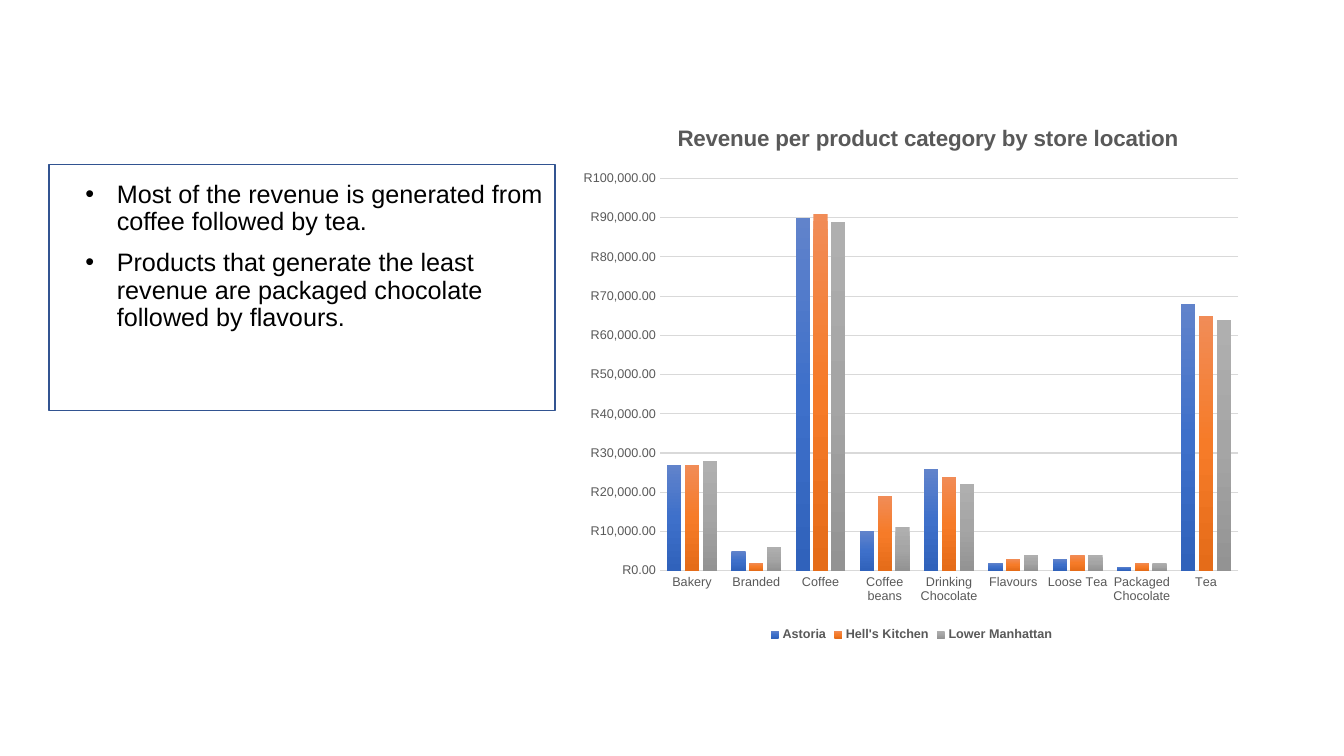
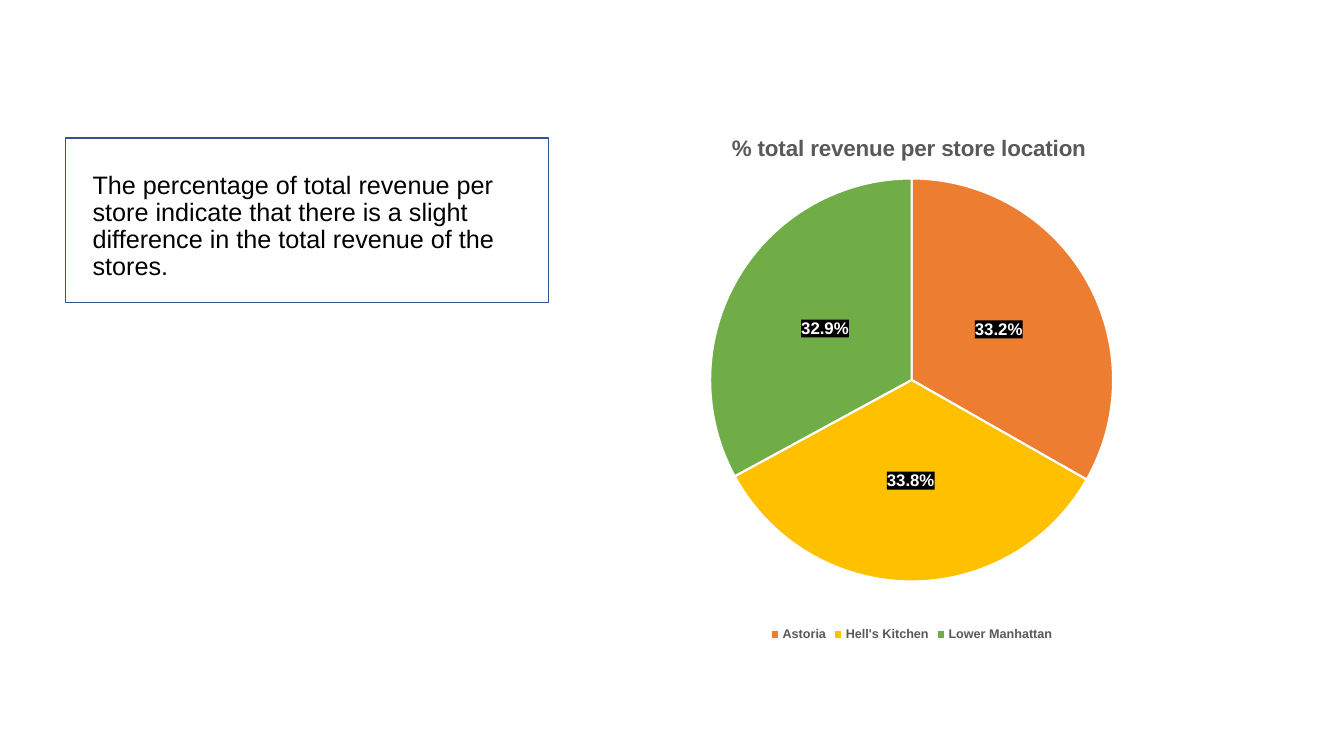
"""Build two slides on store revenue: a column chart and a pie chart, each with a note."""
import copy

import pptx
import pptx.chart.data
import pptx.dml.color
import pptx.enum.chart
import pptx.enum.shapes
import pptx.oxml
import pptx.oxml.ns
import pptx.util

Cm, Pt = pptx.util.Cm, pptx.util.Pt
RGB = pptx.dml.color.RGBColor.from_string
FONT = "Arial"
COLORS = {
    "text": "000000",
    "chart text": "595959",
    "grid": "D9D9D9",
    "frame": "325491",
    "white": "FFFFFF",
}
STORES = ["Astoria", "Hell's Kitchen", "Lower Manhattan"]


def style_font(font, size, color, bold=False):
    font.name, font.size, font.bold = FONT, Pt(size), bold
    font.color.rgb = RGB(COLORS[color])


def manual_layout(**parts):
    tags = "".join(f'<c:{tag} val="{value}"/>' for tag, value in parts.items())
    return pptx.oxml.parse_xml(
        f'<c:layout {pptx.oxml.ns.nsdecls("c")}><c:manualLayout>{tags}</c:manualLayout></c:layout>'
    )


revenue = pptx.chart.data.CategoryChartData(number_format="[$R-1C09]#,##0.00")
revenue.categories = [
    "Bakery", "Branded", "Coffee", "Coffee beans", "Drinking Chocolate",
    "Flavours", "Loose Tea", "Packaged Chocolate", "Tea",
]
store_revenue = [
    [27000, 5000, 90000, 10000, 26000, 2000, 3000, 1000, 68000],
    [27000, 2000, 91000, 19000, 24000, 3000, 4000, 2000, 65000],
    [28000, 6000, 89000, 11000, 22000, 4000, 4000, 2000, 64000],
]
for store, amounts in zip(STORES, store_revenue):
    revenue.add_series(store, amounts)

shares = pptx.chart.data.CategoryChartData(number_format="0.0%")
shares.categories = STORES
shares.add_series("Series 1", [0.332, 0.338, 0.329])

kinds = pptx.enum.chart.XL_CHART_TYPE
pages = [
    {
        "kind": kinds.COLUMN_CLUSTERED,
        "data": revenue,
        "title": "Revenue per product category by store location",
        "title at": (0.15, 0.02),
        "plot at": (0.13, 0.13, 0.85, 0.73),
        "notes": [
            "Most of the revenue is generated from coffee followed by tea.",
            "Products that generate the least revenue are packaged chocolate followed by flavours.",
        ],
        "notes at": (1.9, 4.45, 12.07, 4.67),
        "frame at": (1.24, 4.14, 12.75, 6.2),
        "bulleted": True,
    },
    {
        "kind": kinds.PIE,
        "data": shares,
        "title": "% total revenue per store location",
        "title at": (0.23, 0.04),
        "plot at": (0.2, 0.13, 0.6, 0.75),
        "notes": [
            "The percentage of total revenue per store indicate that there is a slight "
            "difference in the total revenue of the stores."
        ],
        "notes at": (2.08, 4.22, 10.92, 2.87),
        "frame at": (1.65, 3.48, 12.17, 4.14),
        "bulleted": False,
    },
]

deck = pptx.Presentation()
deck.slide_width, deck.slide_height = Cm(33.87), Cm(19.05)
charts = []

for page in pages:
    slide = deck.slides.add_slide(deck.slide_layouts[1])
    unused_title = slide.shapes.title.element
    unused_title.getparent().remove(unused_title)

    notes = slide.placeholders[1]
    notes.left, notes.top, notes.width, notes.height = map(Cm, page["notes at"])
    notes.text_frame.text = "\n".join(page["notes"])
    for paragraph in notes.text_frame.paragraphs:
        paragraph.line_spacing = 0.9
        paragraph.space_before = Pt(10)
        style_font(paragraph.runs[0].font, 18, "text")
        properties = paragraph._p.get_or_add_pPr()
        indent = Cm(0.79) if page["bulleted"] else 0
        properties.set("marL", str(indent))
        properties.set("indent", str(-indent))
        bullet = '<a:buChar {} char="•"/>' if page["bulleted"] else "<a:buNone {}/>"
        properties.append(pptx.oxml.parse_xml(bullet.format(pptx.oxml.ns.nsdecls("a"))))

    chart = slide.shapes.add_chart(
        page["kind"], Cm(14.4), Cm(2.74), Cm(17.15), Cm(13.54), page["data"]
    ).chart
    charts.append(chart)
    style_font(chart.font, 9, "chart text")
    chart.has_title = True
    heading = chart.chart_title.text_frame
    heading.text = page["title"]
    style_font(heading.paragraphs[0].runs[0].font, 16, "chart text", True)
    chart.has_legend = True
    chart.legend.position = pptx.enum.chart.XL_LEGEND_POSITION.BOTTOM
    chart.legend.include_in_layout = False
    style_font(chart.legend.font, 9, "chart text", True)

    title_x, title_y = page["title at"]
    plot_x, plot_y, plot_w, plot_h = page["plot at"]
    title_layout = manual_layout(xMode="edge", yMode="edge", x=title_x, y=title_y)
    plot_layout = manual_layout(
        layoutTarget="inner", xMode="edge", yMode="edge",
        x=plot_x, y=plot_y, w=plot_w, h=plot_h,
    )
    for owner, layout in (("c:title", title_layout), ("c:plotArea", plot_layout)):
        part = chart._chartSpace.xpath(f"c:chart/{owner}")[0]
        for old_layout in part.xpath("c:layout"):
            part.remove(old_layout)
        part.insert(1 if owner == "c:title" else 0, layout)

    frame = slide.shapes.add_shape(
        pptx.enum.shapes.MSO_SHAPE.RECTANGLE, *map(Cm, page["frame at"])
    )
    frame.shadow.inherit = False
    frame.fill.background()
    frame.line.color.rgb = RGB(COLORS["frame"])
    frame.line.width = Pt(1)

columns, pie = charts

columns.plots[0].gap_width = 100
columns.plots[0].overlap = -24
columns.plots[0].vary_by_categories = False
store_gradients = [
    ("6183CB", "3E70CA", "3062BB"),
    ("F18C57", "F67B28", "E56C19"),
    ("AFAFAF", "A5A5A5", "939393"),
]
for store, gradient in zip(columns.plots[0].series, store_gradients):
    fill = store.format.fill
    fill.gradient()
    fill.gradient_angle = 270
    stops = store._element.xpath(".//a:gsLst")[0]
    stops.append(copy.deepcopy(stops[0]))
    for stop, color, position in zip(fill.gradient_stops, gradient, (0, 0.5, 1)):
        stop.color.rgb = RGB(color)
        stop.position = position

for axis in (columns.category_axis, columns.value_axis):
    axis.major_tick_mark = pptx.enum.chart.XL_TICK_MARK.NONE
    style_font(axis.tick_labels.font, 9, "chart text")
columns.category_axis.format.line.color.rgb = RGB(COLORS["grid"])
columns.category_axis.format.line.width = Pt(1)
amount_axis = columns.value_axis
amount_axis.minimum_scale, amount_axis.maximum_scale = 0, 100000
amount_axis.major_unit = 10000
amount_axis.format.line.fill.background()
amount_axis.major_gridlines.format.line.color.rgb = RGB(COLORS["grid"])
amount_axis.major_gridlines.format.line.width = Pt(0.75)
amount_axis.tick_labels.number_format = "[$R-1C09]#,##0.00"
amount_axis.tick_labels.number_format_is_linked = False

share_series = pie.plots[0].series[0]
for index, color in enumerate(("ED7D31", "FFC000", "70AD47")):
    slice_format = share_series.points[index].format
    slice_format.fill.solid()
    slice_format.fill.fore_color.rgb = RGB(color)
    slice_format.line.color.rgb = RGB(COLORS["white"])
    slice_format.line.width = Pt(1.5)

share_labels = share_series.data_labels
share_labels.show_value = True
share_labels.show_percentage = False
share_labels.number_format = "0.0%"
share_labels.number_format_is_linked = False
share_labels.position = pptx.enum.chart.XL_LABEL_POSITION.CENTER
style_font(share_labels.font, 12, "white", True)
label_box = pptx.oxml.parse_xml(
    f'<c:spPr {pptx.oxml.ns.nsdecls("c", "a")}><a:solidFill>'
    f'<a:srgbClr val="{COLORS["text"]}"/></a:solidFill></c:spPr>'
)
share_labels._element.xpath("c:txPr")[0].addprevious(label_box)

deck.save("out.pptx")
